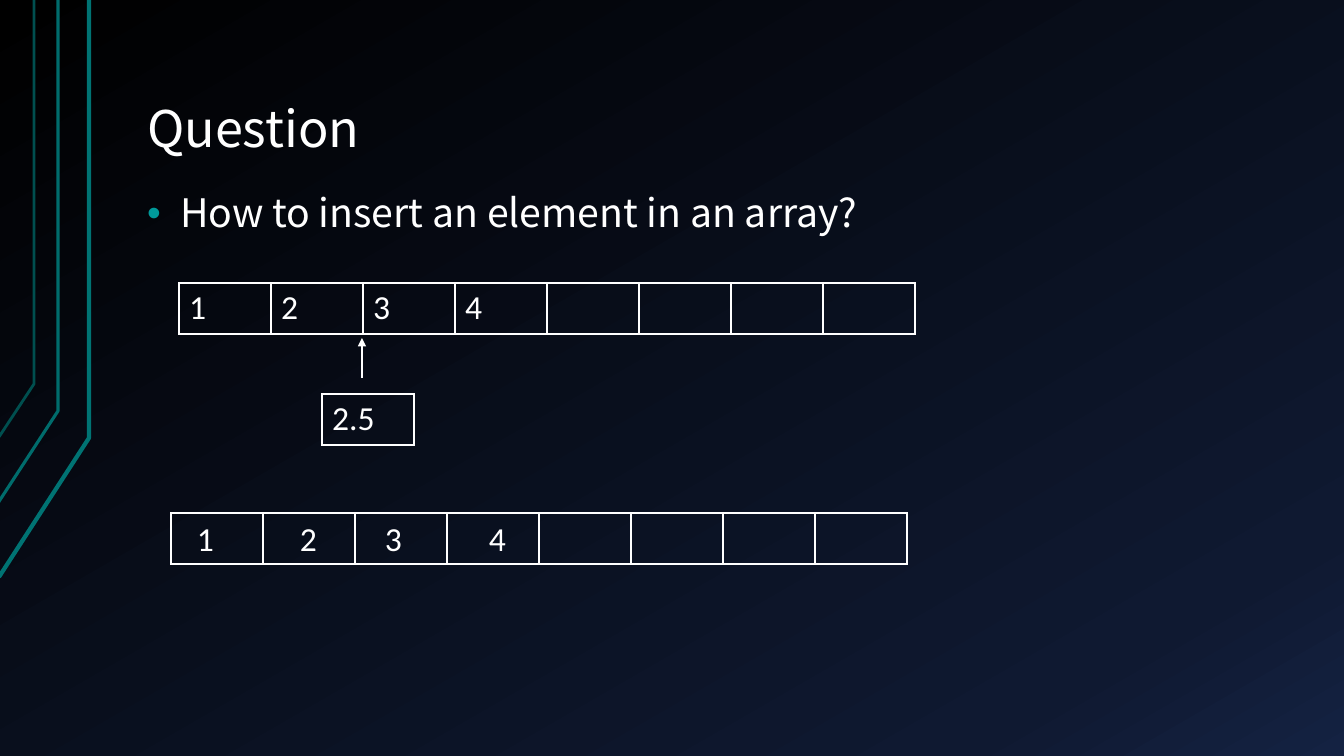
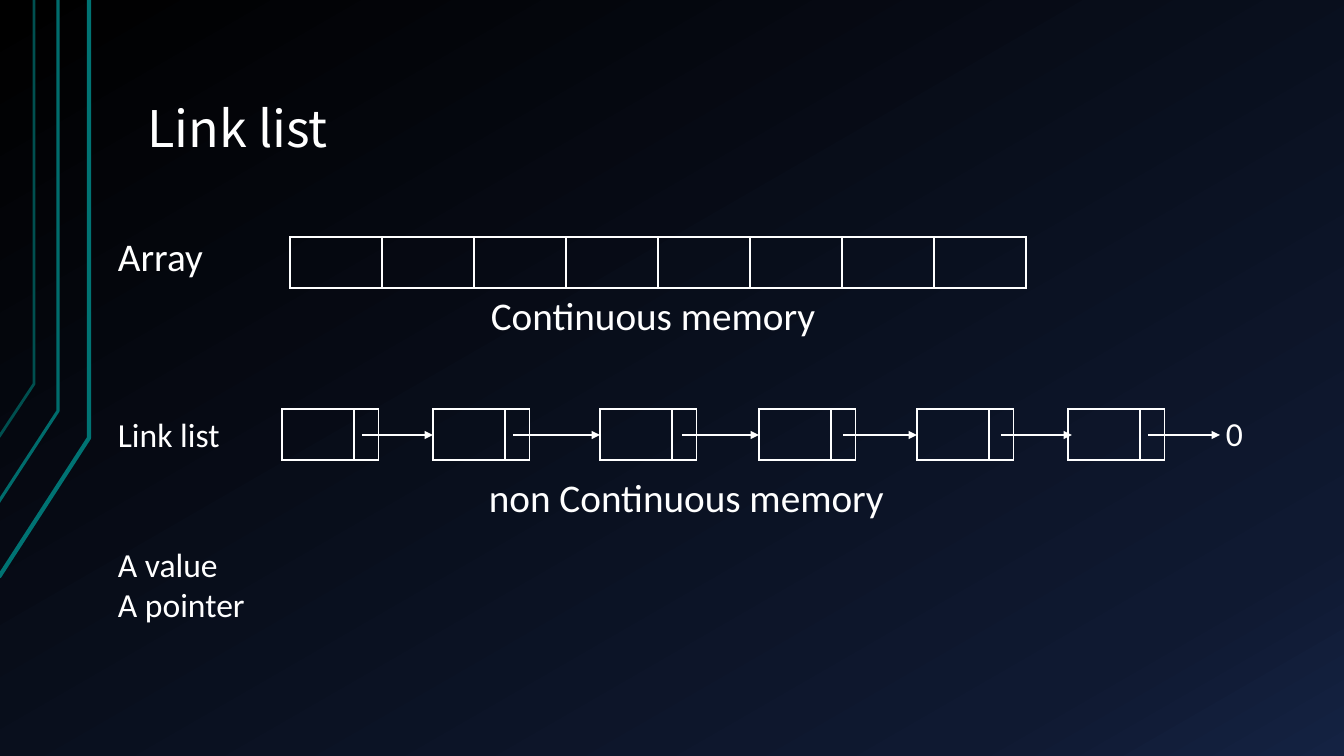
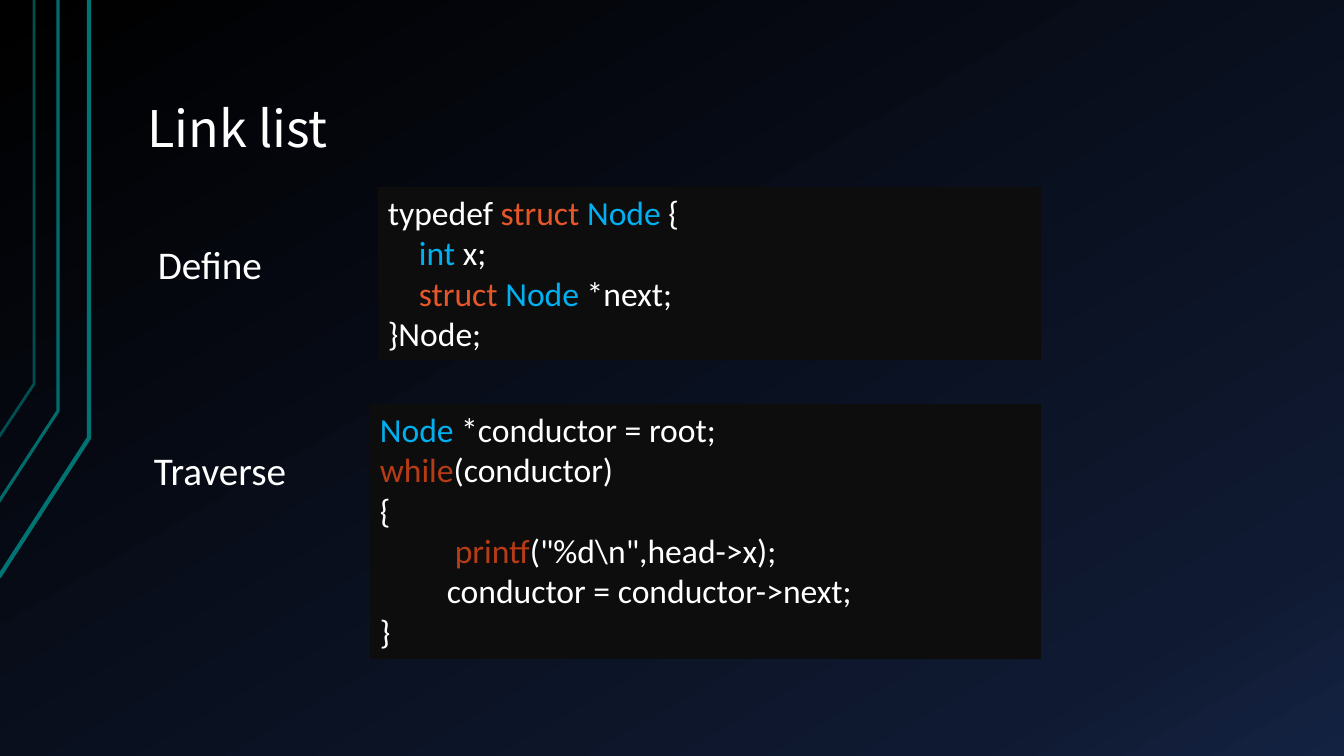
"""Builds three slides on arrays and linked lists."""
from copy import deepcopy
from dataclasses import dataclass

from lxml import etree
from pptx import Presentation
from pptx import util as u
from pptx.dml.color import RGBColor
from pptx.enum import shapes, text
from pptx.oxml.ns import qn

SCALE = 914400 / 100.8


@dataclass(frozen=True)
class Theme:
    white: str = "FFFFFF"
    bullet: str = "009999"
    panel: str = "0D0D0D"
    orange: str = "E5572B"
    rust: str = "B63C16"
    blue: str = "00B0F0"
    gradient: tuple = ((0, "000000"), (0.85, "0F1931"), (1, "142242"))
    angle: int = 60
    heading_font: str = "Noto Sans CJK SC"
    body_font: str = "Calibri"
    title_size: int = 36
    large: int = 28
    normal: int = 24
    border: int = 1
    arrow: int = 2


THEME = Theme()
SLIDE_SIZE = (1344, 756)
TITLE_BOX = (134, 30, 1142, 135)
HEADING_MARGINS = (13, 7)
CORNER_LINES = [
    ([(-1, 577), (89, 438), (89, 0)], "007373", 3),
    ([(-2, 503), (58, 411), (58, 0)], "006C6C", 2.25),
    ([(-1, 437), (34, 384), (34, 0)], "004F4F", 2),
]

ROW_HEIGHT = 51
ARRAY_COLUMNS = [92] * 8
NODE_COLUMNS = [72, 24]
NODE_TOP, ARROW_Y = 409, 435

QUESTION = "How to insert an element in an array?"
QUESTION_BOX = (134, 187, 1142, 492)
QUESTION_TABLES = [
    (179, 283, ARRAY_COLUMNS, ["1", "2", "3", "4"]),
    (322, 394, ARRAY_COLUMNS[:1], ["2.5"]),
    (171, 513, ARRAY_COLUMNS, []),
]
INSERT_ARROW = ((362, 378), (362, 338))
LOOSE_DIGITS = [("1", 187), ("2", 290), ("3", 375), ("4", 479)]
DIGIT_TOP, DIGIT_SIZE = 513, (37, 50)

ARRAY_AT = (290, 237)
NODES = [
    (282, 362, 433),
    (433, 513, 600),
    (600, 682, 759),
    (759, 843, 917),
    (917, 1001, 1072),
    (1068, 1148, 1220),
]
LIST_LABELS = [
    (["Array"], (108, 227, 119, 57), THEME.large),
    (["Continuous memory"], (481, 286, 373, 57), THEME.large),
    (["Link list"], (108, 409, 123, 50), THEME.normal),
    (["0"], (1216, 408, 37, 50), THEME.normal),
    (["A value", "A pointer"], (108, 539, 148, 92), THEME.normal),
    (["non Continuous memory"], (479, 468, 485, 57), THEME.large),
]

CODE_LABELS = [
    (["Define"], (148, 235, 127, 57), THEME.large),
    (["Traverse"], (144, 441, 191, 57), THEME.large),
]
CODE_PANELS = [
    ((378, 187, 663, 173), [
        (0, [("typedef ", THEME.white), ("struct ", THEME.orange),
             ("Node", THEME.blue), (" {", THEME.white)]),
        (31, [("int ", THEME.blue), ("x;", THEME.white)]),
        (31, [("struct ", THEME.orange), ("Node", THEME.blue),
              (" *next;", THEME.white)]),
        "}Node;",
    ]),
    ((370, 404, 671, 255), [
        (0, [("Node", THEME.blue), (" *conductor = root;", THEME.white)]),
        (0, [("while", THEME.rust), ("(conductor)", THEME.white)]),
        "{",
        (75, [("printf", THEME.rust), ('("%d\\n",head->x);', THEME.white)]),
        (67, [("conductor = conductor->next;", THEME.white)]),
        "}",
    ]),
]


def px(value):
    return u.Emu(round(value * SCALE))


def box(values):
    return [px(value) for value in values]


def rgb(value):
    return RGBColor.from_string(value)


def child(parent, tag, **attributes):
    return etree.SubElement(parent, qn(tag), attributes)


def write(frame, lines, size=THEME.normal, font=THEME.body_font,
          spacing=None, before=None, bullet=None):
    frame.word_wrap = True
    for index, line in enumerate(lines):
        indent, runs = (0, [(line, THEME.white)]) if isinstance(line, str) else line
        paragraph = frame.add_paragraph() if index else frame.paragraphs[0]
        paragraph.alignment = text.PP_ALIGN.LEFT
        paragraph.line_spacing = spacing
        if before:
            paragraph.space_before = u.Pt(before)
        properties = paragraph._p.get_or_add_pPr()
        if indent:
            properties.set("marL", str(px(indent)))
        if bullet:
            properties.set("indent", str(-px(indent)))
            child(child(properties, "a:buClr"), "a:srgbClr", val=THEME.bullet)
            child(properties, "a:buFont", typeface="Arial")
            child(properties, "a:buChar", char=bullet)
        for words, colour in runs:
            run = paragraph.add_run()
            run.text = words
            run.font.size = u.Pt(size)
            run.font.name = font
            run.font.color.rgb = rgb(colour)


def set_margins(frame, horizontal, vertical):
    frame.margin_left = frame.margin_right = px(horizontal)
    frame.margin_top = frame.margin_bottom = px(vertical)


def add_label(slide, lines, place, size=THEME.normal):
    write(slide.shapes.add_textbox(*box(place)).text_frame, lines, size=size)


def add_cells(slide, left, top, columns, values=()):
    place = box((left, top, sum(columns), ROW_HEIGHT))
    table = slide.shapes.add_table(1, len(columns), *place).table
    table.first_row = table.horz_banding = False
    for index, width in enumerate(columns):
        table.columns[index].width = px(width)
        cell = table.cell(0, index)
        cell.fill.background()
        properties = cell._tc.get_or_add_tcPr()
        for position, side in enumerate("LRTB"):
            edge = child(properties, f"a:ln{side}", w=str(u.Pt(THEME.border)))
            child(child(edge, "a:solidFill"), "a:srgbClr", val=THEME.white)
            properties.insert(position, edge)
        if index < len(values):
            write(cell.text_frame, [values[index]])


def add_arrow(slide, start, end):
    connector = slide.shapes.add_connector(
        shapes.MSO_CONNECTOR.STRAIGHT, *box((*start, *end)))
    connector.line.color.rgb = rgb(THEME.white)
    connector.line.width = u.Pt(THEME.arrow)
    properties = connector.element.spPr
    child(properties.find(qn("a:ln")), "a:tailEnd", type="triangle")
    child(properties, "a:effectLst")


def add_panel(slide, place, lines):
    panel = slide.shapes.add_shape(shapes.MSO_SHAPE.RECTANGLE, *box(place))
    panel.shadow.inherit = False
    panel.fill.solid()
    panel.fill.fore_color.rgb = rgb(THEME.panel)
    panel.line.fill.background()
    panel.text_frame.vertical_anchor = text.MSO_ANCHOR.TOP
    write(panel.text_frame, lines)


def style_master(master, layout):
    fill = master.background.fill
    fill.gradient()
    fill.gradient_angle = 360 - THEME.angle
    stop_list = master.element.xpath("p:cSld/p:bg//a:gsLst")[0]
    stop_list.append(deepcopy(stop_list[-1]))
    for stop, (position, colour) in zip(fill.gradient_stops, THEME.gradient):
        stop.position = position
        stop.color.rgb = rgb(colour)
    title = layout.placeholders[0]
    title.left, title.top, title.width, title.height = box(TITLE_BOX)
    title.text_frame.vertical_anchor = text.MSO_ANCHOR.BOTTOM
    set_margins(title.text_frame, *HEADING_MARGINS)


def add_corner_lines(slide):
    for index, (points, colour, width) in enumerate(CORNER_LINES):
        builder = slide.shapes.build_freeform(*points[0], scale=SCALE)
        builder.add_line_segments(points[1:], close=False)
        outline = builder.convert_to_shape()
        outline.shadow.inherit = False
        outline.fill.background()
        outline.line.color.rgb = rgb(colour)
        outline.line.width = u.Pt(width)
        outline.element.xpath("p:nvSpPr/p:cNvPr")[0].set("id", str(100 + index))
        slide.slide_layout.shapes.element.append(outline.element)


def add_slide(presentation, layout, title):
    slide = presentation.slides.add_slide(layout)
    write(slide.shapes.title.text_frame, [title], size=THEME.title_size,
          font=THEME.heading_font, spacing=0.9)
    return slide


def fill_question(slide):
    frame = slide.shapes.add_textbox(*box(QUESTION_BOX)).text_frame
    set_margins(frame, *HEADING_MARGINS)
    write(frame, [(33, [(QUESTION, THEME.white)])], size=THEME.large,
          font=THEME.heading_font, spacing=0.9, before=16, bullet="•")
    for table in QUESTION_TABLES:
        add_cells(slide, *table)
    add_arrow(slide, *INSERT_ARROW)
    for digit, left in LOOSE_DIGITS:
        add_label(slide, [digit], (left, DIGIT_TOP, *DIGIT_SIZE))


def fill_memory(slide):
    add_cells(slide, *ARRAY_AT, ARRAY_COLUMNS)
    for left, _, _ in NODES:
        add_cells(slide, left, NODE_TOP, NODE_COLUMNS)
    for _, start, end in NODES:
        add_arrow(slide, (start, ARROW_Y), (end, ARROW_Y))
    for label in LIST_LABELS:
        add_label(slide, *label)


def fill_code(slide):
    for panel in CODE_PANELS:
        add_panel(slide, *panel)
    for label in CODE_LABELS:
        add_label(slide, *label)


def main():
    presentation = Presentation()
    presentation.slide_width, presentation.slide_height = box(SLIDE_SIZE)
    layout = presentation.slide_layouts[5]
    style_master(presentation.slide_master, layout)
    pages = [("Question", fill_question), ("Link list", fill_memory),
             ("Link list", fill_code)]
    for title, fill_page in pages:
        fill_page(add_slide(presentation, layout, title))
    add_corner_lines(presentation.slides[0])
    presentation.save("out.pptx")


if __name__ == "__main__":
    main()
